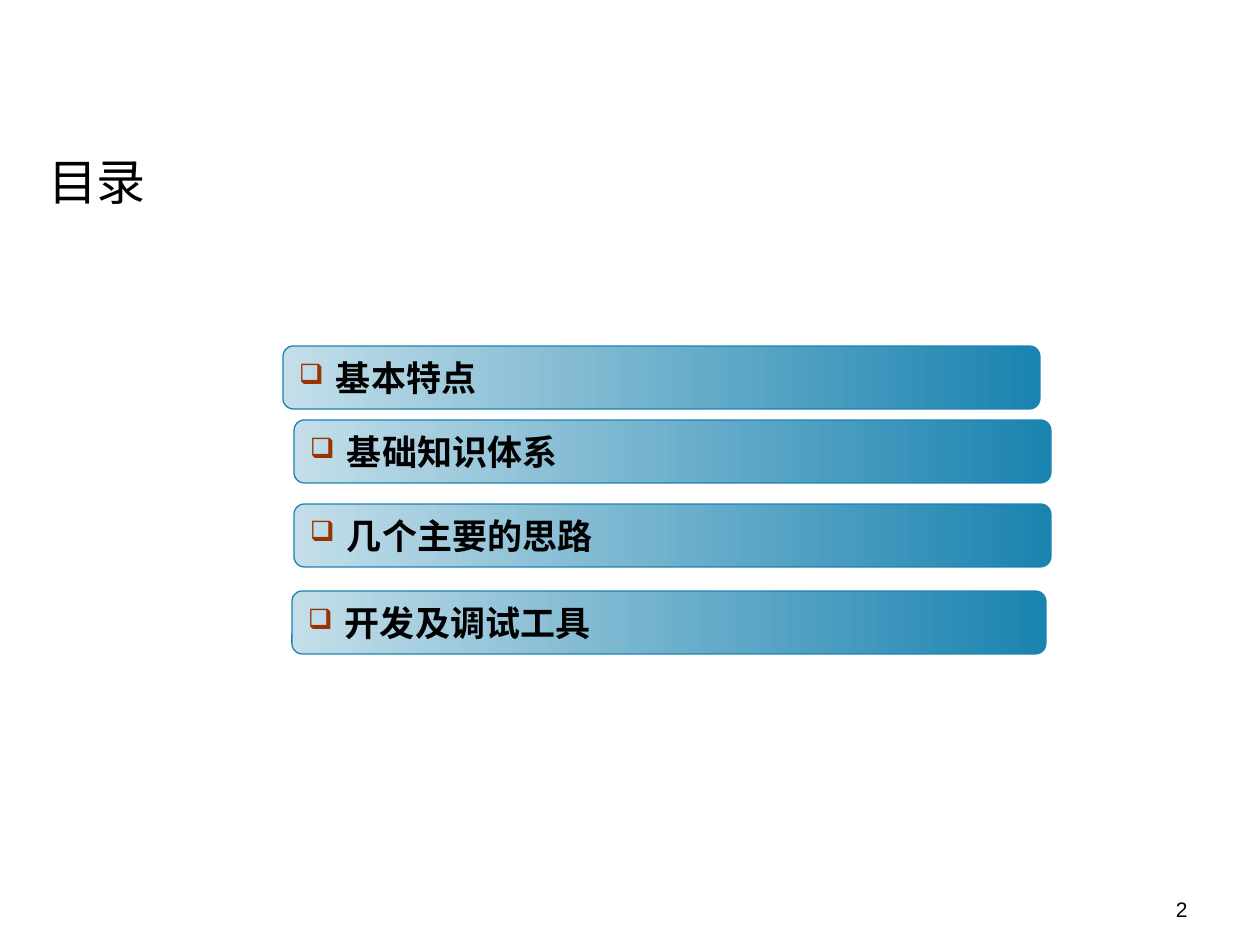
from lxml import etree
from pptx import Presentation
from pptx.dml.color import RGBColor
from pptx.enum.shapes import MSO_SHAPE
from pptx.enum.text import MSO_ANCHOR, MSO_AUTO_SIZE, PP_ALIGN
from pptx.oxml.ns import qn
from pptx.util import Pt

PX = 914400 / 126  # EMU per px
BAR = MSO_SHAPE.FLOWCHART_ALTERNATE_PROCESS
LEFT = PP_ALIGN.LEFT
MIDDLE, BOTTOM, TOP = MSO_ANCHOR.MIDDLE, MSO_ANCHOR.BOTTOM, MSO_ANCHOR.TOP
NO_FIT = MSO_AUTO_SIZE.NONE
TITLE_ONLY = 5


def px(*lengths):
    return [round(length * PX) for length in lengths]


def color(hex_string):
    return RGBColor.from_string(hex_string)


def add_bullet(paragraph, char, hex_string, percent, indent):
    props = paragraph._p.get_or_add_pPr()
    (gap,) = px(indent)
    props.set("marL", str(gap))
    props.set("indent", str(-gap))
    tint = etree.SubElement(props, qn("a:buClr"))
    etree.SubElement(tint, qn("a:srgbClr"), val=hex_string)
    etree.SubElement(props, qn("a:buSzPct"), val=str(percent * 1000))
    etree.SubElement(props, qn("a:buChar"), char=char)


def write(frame, text, size, bold=False, anchor=TOP, margins=(13, 6),
          spacing=None, bullet=None):
    frame.word_wrap = True
    frame.auto_size = NO_FIT
    frame.vertical_anchor = anchor
    frame.margin_left = frame.margin_right = px(margins[0])[0]
    frame.margin_top = frame.margin_bottom = px(margins[1])[0]
    paragraph = frame.paragraphs[0]
    paragraph.alignment = LEFT
    if spacing:
        paragraph.line_spacing = spacing
    if bullet:
        add_bullet(paragraph, **bullet)
    run = paragraph.add_run()
    run.text = text
    run.font.name = Deck.font
    run.font.size = Pt(size)
    run.font.bold = bold
    run.font.color.rgb = color(Deck.ink)


class Deck:
    font = "Arial"
    ink = "000000"
    dark, light = "1A83B0", "C3DEE9"
    bullet = {"char": "❑", "hex_string": "993300", "percent": 80, "indent": 37}

    def __init__(self, width, height):
        self.prs = Presentation()
        self.prs.slide_width, self.prs.slide_height = px(width, height)
        self.slide = self.prs.slides.add_slide(self.prs.slide_layouts[TITLE_ONLY])

    def title(self, text, *box):
        heading = self.slide.shapes.title
        heading.left, heading.top, heading.width, heading.height = px(*box)
        write(heading.text_frame, text, 28, anchor=BOTTOM)

    def bar(self, text, *box):
        bar = self.slide.shapes.add_shape(BAR, *px(*box))
        bar.shadow.inherit = False
        bar.fill.gradient()
        bar.fill.gradient_angle = 180
        for stop, shade in zip(bar.fill.gradient_stops, (self.dark, self.light)):
            stop.color.rgb = color(shade)
        bar.line.color.rgb = color(self.dark)
        bar.line.width = Pt(0.75)
        write(bar.text_frame, text, 20, bold=True, anchor=MIDDLE, bullet=self.bullet)

    def page_number(self, text, *box):
        number = self.slide.shapes.add_textbox(*px(*box))
        write(number.text_frame, text, 12, margins=(0, 0), spacing=0.85)


def main():
    deck = Deck(1260, 945)

    # Page number and heading
    deck.page_number("2", 1176, 900, 50, 28)
    deck.title("目录", 35, 144, 476, 72)

    # Contents bars: topic, left, top, width
    topics = [
        ("基本特点", 283, 346, 757),
        ("基础知识体系", 294, 420, 757),
        ("几个主要的思路", 294, 504, 757),
        ("开发及调试工具", 292, 591, 754),
    ]
    for topic, left, top, width in topics:
        deck.bar(topic, left, top, width, 63)

    deck.prs.save("out.pptx")


if __name__ == "__main__":
    main()
